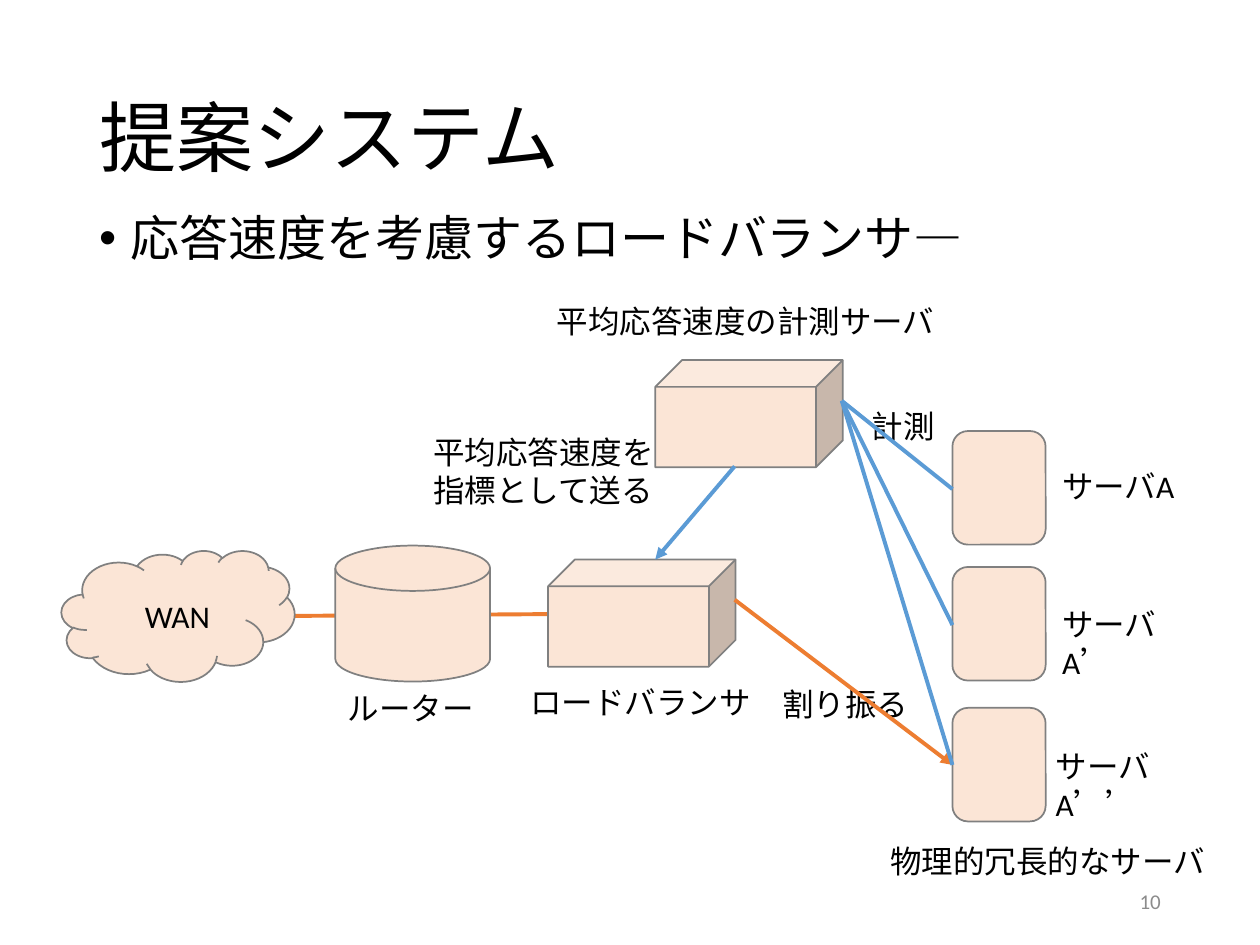
from typing import NamedTuple

from lxml import etree
from pptx import Presentation
from pptx.dml.color import RGBColor
from pptx.enum.dml import MSO_THEME_COLOR
from pptx.enum.shapes import MSO_CONNECTOR, MSO_SHAPE
from pptx.enum.text import MSO_ANCHOR, MSO_AUTO_SIZE, PP_ALIGN
from pptx.oxml.ns import qn
from pptx.slide import Slide
from pptx.util import Cm, Pt

STRAIGHT = MSO_CONNECTOR.STRAIGHT
CUBE = MSO_SHAPE.CUBE
CLOUD = MSO_SHAPE.CLOUD
DISK = MSO_SHAPE.FLOWCHART_MAGNETIC_DISK
SERVER = MSO_SHAPE.FLOWCHART_ALTERNATE_PROCESS
LEFT, RIGHT = PP_ALIGN.LEFT, PP_ALIGN.RIGHT
TOP, MIDDLE = MSO_ANCHOR.TOP, MSO_ANCHOR.MIDDLE
NO_AUTOFIT = MSO_AUTO_SIZE.NONE

FONT = "Calibri"
BLACK, GRAY, BORDER = "000000", "8C8C8C", "808080"
PEACH, ORANGE, BLUE = "FBE5D6", "ED7D31", "5B9BD5"


class Node(NamedTuple):
    kind: MSO_SHAPE
    left: float
    top: float
    width: float
    height: float


class Label(NamedTuple):
    text: str
    left: float
    top: float
    width: float
    height: float = 1.02
    wrap: bool = False
    size: float = 18
    color: str = BLACK
    align: PP_ALIGN = LEFT
    anchor: MSO_ANCHOR = TOP


class Link(NamedTuple):
    start: tuple[float, float]
    end: tuple[float, float]
    color: str
    arrow: bool = False


SERVER_LEFT = 19.2
NODES = [
    Node(CUBE, 13.21, 7.26, 3.78, 2.16),
    Node(CLOUD, 1.24, 11.1, 4.7, 2.64),
    Node(DISK, 6.76, 11, 3.12, 2.74),
    Node(CUBE, 11.05, 11.28, 3.78, 2.16),
    *(Node(SERVER, SERVER_LEFT, top, 1.88, 2.29) for top in (8.69, 11.43, 14.27)),
]
LABELS = [
    Label("ロードバランサ", 10.44, 13.64, 5),
    Label("ルーター", 6.76, 13.77, 3.07),
    Label("WAN", 2.67, 11.91, 1.83),
    Label("サーバA", 21.16, 9.3, 2.79, wrap=True),
    Label("サーバA’", 21.16, 12.07, 2.97, wrap=True),
    Label("サーバA’’", 21.03, 14.94, 3.12, wrap=True),
    Label("平均応答速度の計測サーバ", 10.97, 5.97, 8.2),
    Label("物理的冗長的なサーバ", 17.7, 16.84, 6.93),
    Label("計測", 17.32, 8.08, 1.8),
    Label("平均応答速度を\v指標として送る", 8.48, 8.61, 5, 1.8),
    Label("割り振る", 15.52, 13.69, 3.07),
    Label("10", 17.93, 17.65, 5.72, wrap=True, size=12, color=GRAY, align=RIGHT, anchor=MIDDLE),
]
BACKBONE = Link((5.38, 12.42), (12.37, 12.37), ORANGE)
LINKS = [
    Link((14.81, 9.4), (13.21, 11.28), BLUE, True),
    Link((14.81, 12.09), (SERVER_LEFT, 15.42), ORANGE, True),
    *(Link((16.97, 8.08), (SERVER_LEFT, y), BLUE) for y in (15.42, 12.6, 9.86)),
]


def rgb(color: str) -> RGBColor:
    return RGBColor.from_string(color)


def format_paragraph(paragraph, size: float, color: str, align: PP_ALIGN = LEFT) -> None:
    paragraph.alignment = align
    paragraph.font.name = FONT
    paragraph.font.size = Pt(size)
    paragraph.font.color.rgb = rgb(color)


def draw_node(slide: Slide, node: Node) -> None:
    shape = slide.shapes.add_shape(node.kind, *map(Cm, node[1:]))
    shape.shadow.inherit = False
    shape.fill.solid()
    shape.fill.fore_color.rgb = rgb(PEACH)
    shape.line.color.rgb = rgb(BORDER)
    shape.line.width = Pt(1)


def draw_label(slide: Slide, label: Label):
    box = slide.shapes.add_textbox(*map(Cm, label[1:5]))
    frame = box.text_frame
    frame.word_wrap = label.wrap
    frame.vertical_anchor = label.anchor
    paragraph = frame.paragraphs[0]
    paragraph.text = label.text
    format_paragraph(paragraph, label.size, label.color, label.align)
    return paragraph


def draw_link(slide: Slide, link: Link) -> None:
    connector = slide.shapes.add_connector(STRAIGHT, *map(Cm, link.start + link.end))
    connector.line.color.rgb = rgb(link.color)
    connector.line.width = Pt(2.25)
    if link.arrow:
        etree.SubElement(connector.line._get_or_add_ln(), qn("a:tailEnd"), type="triangle")
    etree.SubElement(connector._element.spPr, qn("a:effectLst"))


def draw_title(slide: Slide, text: str) -> None:
    title = slide.shapes.title
    title.left, title.top, title.width, title.height = map(Cm, (1.75, 1.02, 21.9, 3.68))
    frame = title.text_frame
    frame.text = text
    frame.auto_size = NO_AUTOFIT
    frame.vertical_anchor = MIDDLE
    paragraph = frame.paragraphs[0]
    paragraph.line_spacing = 0.9
    format_paragraph(paragraph, 44, BLACK)


def draw_bullet(slide: Slide, text: str) -> None:
    paragraph = draw_label(slide, Label(text, 1.75, 4.19, 21.9, 1.35, wrap=True, size=28))
    paragraph.line_spacing = 0.9
    paragraph.space_before = Pt(10)
    properties = paragraph._p.get_or_add_pPr()
    properties.set("marL", str(Cm(0.64)))
    properties.set("indent", str(Cm(-0.64)))
    bullet_font = etree.Element(qn("a:buFont"), typeface="Arial")
    bullet = etree.Element(qn("a:buChar"), char="•")
    defaults = properties.find(qn("a:defRPr"))
    defaults.addprevious(bullet_font)
    defaults.addprevious(bullet)


def main() -> None:
    presentation = Presentation()
    presentation.slide_width, presentation.slide_height = Cm(25.4), Cm(19.05)
    slide = presentation.slides.add_slide(presentation.slide_layouts[5])
    draw_title(slide, "提案システム")
    draw_bullet(slide, "応答速度を考慮するロードバランサ―")
    draw_link(slide, BACKBONE)
    for node in NODES:
        draw_node(slide, node)
    for label in LABELS:
        draw_label(slide, label)
    for link in LINKS:
        draw_link(slide, link)
    presentation.save("out.pptx")


main()
